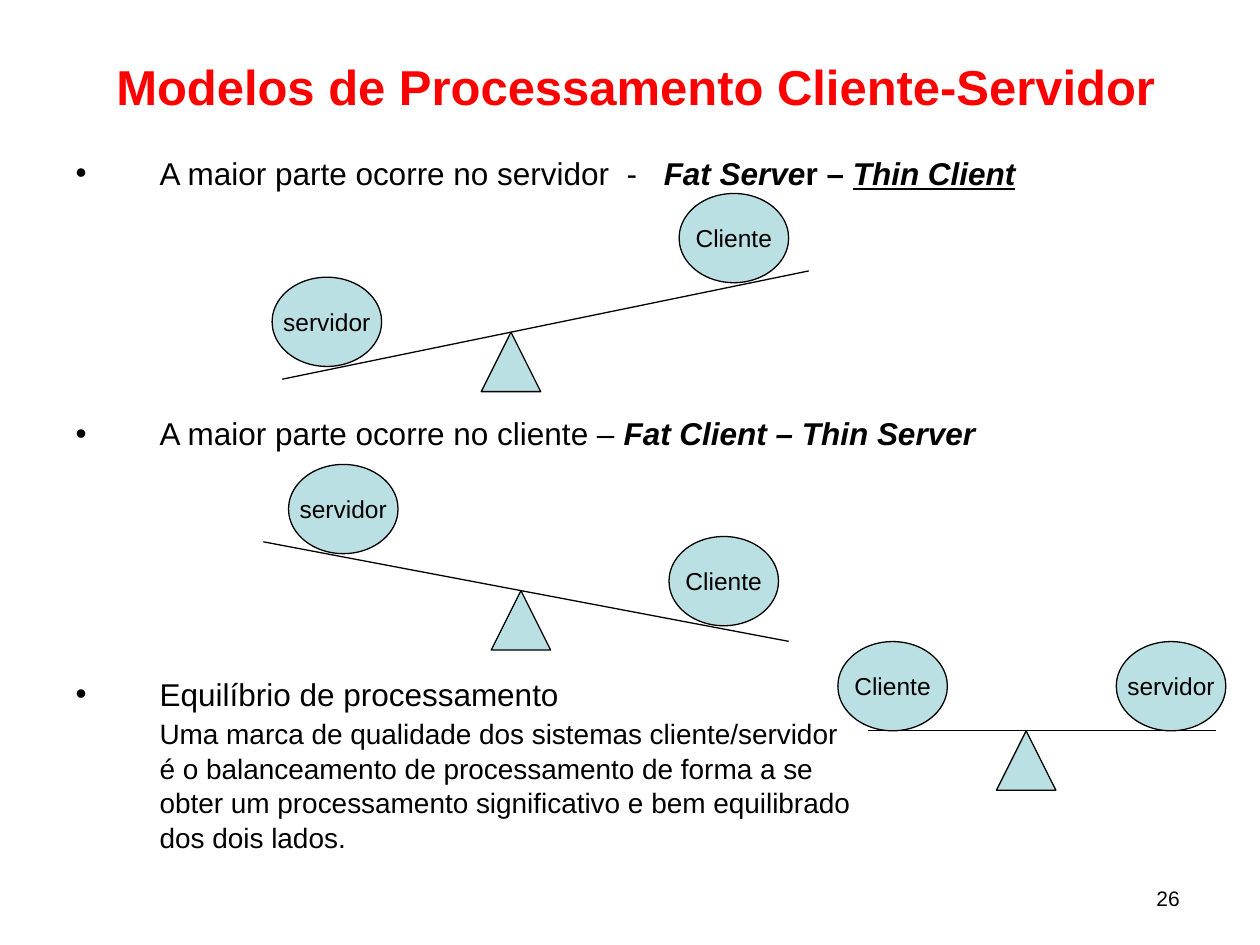
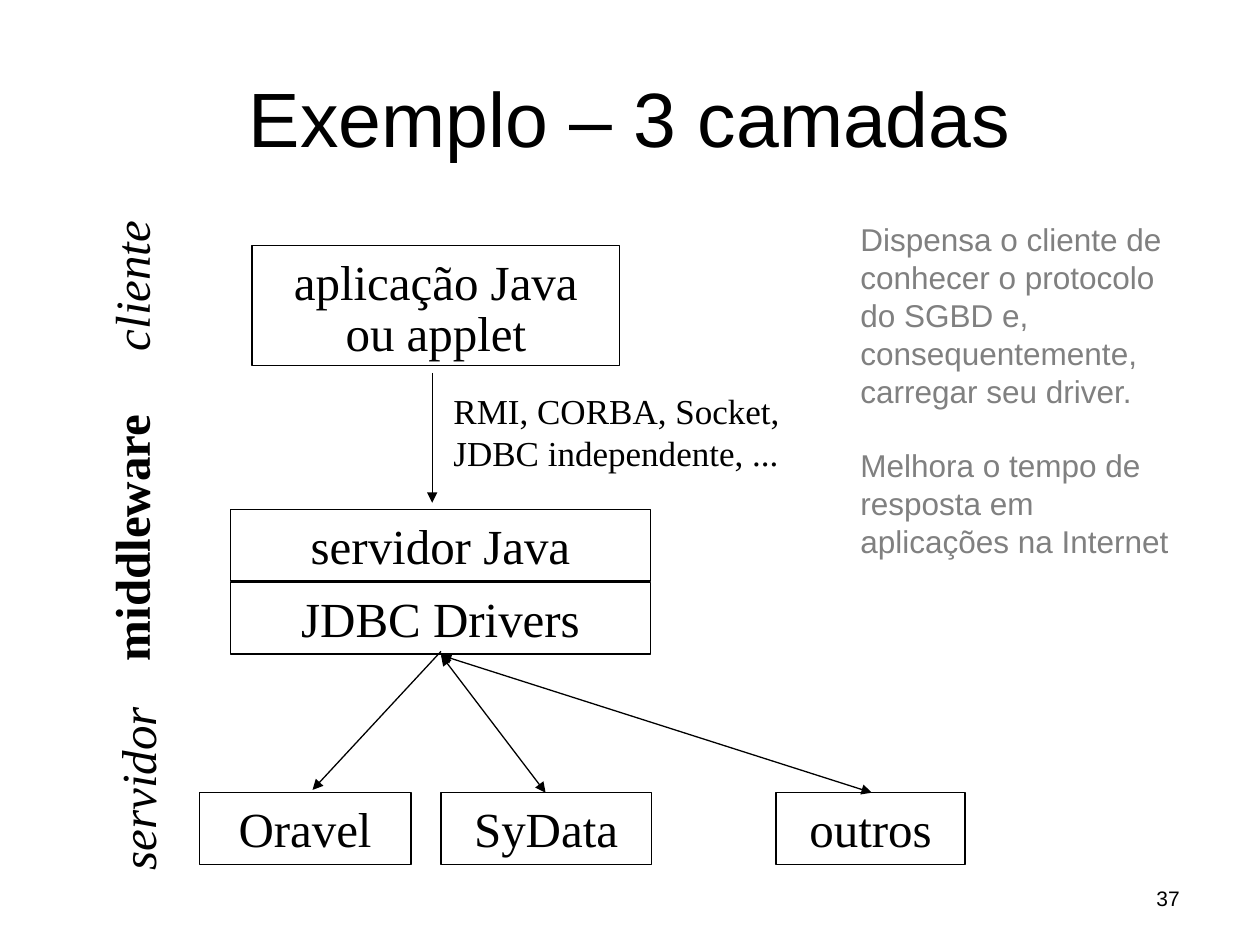
from lxml.etree import SubElement
from pptx import Presentation
from pptx.dml.color import RGBColor
from pptx.enum.shapes import MSO_CONNECTOR, MSO_SHAPE
from pptx.enum.text import MSO_ANCHOR, MSO_AUTO_SIZE, PP_ALIGN
from pptx.oxml.ns import qn
from pptx.util import Pt

BLACK = RGBColor(0x00, 0x00, 0x00)
RED = RGBColor(0xFF, 0x00, 0x00)
GRAY = RGBColor(0x80, 0x80, 0x80)
PALE_TEAL = RGBColor(0xBB, 0xE0, 0xE3)
SANS, SERIF = "Arial", "Times New Roman"
TITLE_AND_BODY, TITLE_ONLY = 1, 5

# Slide 1: runs are (text, bold, italic, underline)
MODELS = [
    [("A maior parte ocorre no servidor  -   ", False, False, False),
     ("Fat Serve", True, True, False),
     ("r – ", True, False, False),
     ("Thin Client", True, True, True)],
    [("A maior parte ocorre no cliente – ", False, False, False),
     ("Fat Client – Thin Server", True, True, False)],
    [("Equilíbrio de processamento", False, False, False)],
]
BALANCE_REMARK = [
    "Uma marca de qualidade dos sistemas cliente/servidor",
    "é o balanceamento de processamento de forma a se",
    "obter um processamento significativo e bem equilibrado",
    "dos dois lados.",
]
# Beam ends, centre of each ball and pivot along the beam
SEESAWS = [
    {"beam": ((161.3, 216.7), (462.2, 154.8)), "pivot": 292,
     "balls": {"servidor": 186.8, "Cliente": 419.4}},
    {"beam": ((150.5, 309.6), (450.7, 366.5)), "pivot": 297.7,
     "balls": {"servidor": 196.2, "Cliente": 413.6}},
    {"beam": ((496, 417.6), (694.8, 417.6)), "pivot": 586.4,
     "balls": {"Cliente": 510.1, "servidor": 669.2}},
]
BALL_WIDTH, BALL_HEIGHT, PIVOT_SIZE = 62.6, 51, 34
MODEL_STEP, MODEL_LINE = 148, 16.5

# Slide 2: (lines, left, top, width, height)
BOX_HEIGHT, DATABASE_TOP = 41, 453
LAYER_BOXES = [
    (["aplicação Java", "ou applet"], 144, 140.4, 210.2, 68.4),
    (["servidor Java"], 131.8, 291, 239.8, BOX_HEIGHT),
    (["JDBC Drivers"], 131.8, 332.7, 239.8, BOX_HEIGHT),
    (["Oravel"], 113.8, DATABASE_TOP, 121, BOX_HEIGHT),
    (["SyData"], 252, DATABASE_TOP, 120.2, BOX_HEIGHT),
    (["outros"], 443.5, DATABASE_TOP, 108, BOX_HEIGHT),
]
# (text, left, top, height, bold, italic)
LAYER_NAMES = [
    ("cliente", 54, 122.4, 82, False, True),
    ("middleware", 54, 233.3, 148.3, True, False),
    ("servidor", 57.6, 400.3, 100.8, False, True),
]
# (start, end, has an arrowhead at the start)
ARROWS = [
    ((252, 374.4), (311.8, DATABASE_TOP), True),
    ((252, 374.4), (498.2, DATABASE_TOP), True),
    ((252, 372.2), (178.6, 451.4), False),
    ((247, 213.1), (247, 287.3), False),
]
PROTOCOLS = "RMI, CORBA, Socket, JDBC independente, ..."
BENEFITS = [
    "Dispensa o cliente de conhecer o protocolo do SGBD e, "
    "consequentemente, carregar seu driver.",
    "Melhora o tempo de resposta em aplicações na Internet",
]


def place(shape, left, top, width, height):
    shape.left, shape.top = Pt(left), Pt(top)
    shape.width, shape.height = Pt(width), Pt(height)


def style(paragraph, size, font=SANS, color=BLACK, align=PP_ALIGN.LEFT,
          before=0, bold=False, italic=False):
    paragraph.alignment = align
    paragraph.space_before = Pt(before)
    paragraph.font.size = Pt(size)
    paragraph.font.name = font
    paragraph.font.color.rgb = color
    paragraph.font.bold = bold
    paragraph.font.italic = italic


def write(frame, lines, size, **look):
    """Fill a text frame with one equally styled paragraph per line."""
    for i, line in enumerate(lines):
        paragraph = frame.add_paragraph() if i else frame.paragraphs[0]
        paragraph.text = line
        style(paragraph, size, **look)


def add_text(slide, lines, bounds, size, **look):
    box = slide.shapes.add_textbox(*map(Pt, bounds))
    box.text_frame.word_wrap = True
    write(box.text_frame, lines, size, **look)
    return box


def add_outlined(slide, kind, bounds, fill=None):
    shape = slide.shapes.add_shape(kind, *map(Pt, bounds))
    shape.shadow.inherit = False
    shape.line.color.rgb = BLACK
    shape.line.width = Pt(0.75)
    if fill is None:
        shape.fill.background()
    else:
        shape.fill.solid()
        shape.fill.fore_color.rgb = fill
    return shape


def add_line(slide, start, end, heads=()):
    """Draw a thin line; heads may hold headEnd and tailEnd."""
    line = slide.shapes.add_connector(
        MSO_CONNECTOR.STRAIGHT, *map(Pt, (*start, *end)))
    line.line.color.rgb = BLACK
    line.line.width = Pt(0.75)
    for head in heads:
        SubElement(line.line._get_or_add_ln(), qn(f"a:{head}"), type="triangle")
    SubElement(line._element.spPr, qn("a:effectLst"))


def add_slide(prs, layout, title, bounds, number, size, **look):
    slide = prs.slides.add_slide(prs.slide_layouts[layout])
    heading = slide.shapes.title
    place(heading, *bounds)
    heading.text_frame.vertical_anchor = MSO_ANCHOR.MIDDLE
    heading.text_frame.auto_size = MSO_AUTO_SIZE.NONE
    write(heading.text_frame, [title], size, align=PP_ALIGN.CENTER, **look)
    add_text(slide, [number], (513.4, 502.6, 167.8, 37.4), 12,
             align=PP_ALIGN.RIGHT)
    return slide


def indent(paragraph, hanging):
    margin = Pt(48)
    properties = paragraph._p.get_or_add_pPr()
    properties.set("marL", str(margin))
    properties.set("indent", str(-margin if hanging else 0))
    if not hanging:
        properties.insert_element_before(
            properties.makeelement(qn("a:buNone"), {}),
            "a:tabLst", "a:defRPr", "a:extLst")


def fill_models(body):
    place(body, 36, 88.6, 648, 419.8)
    frame = body.text_frame
    frame.auto_size = MSO_AUTO_SIZE.NONE
    for i, runs in enumerate(MODELS):
        paragraph = frame.add_paragraph() if i else frame.paragraphs[0]
        style(paragraph, 18, before=MODEL_STEP - MODEL_LINE if i else 4.5)
        paragraph.line_spacing = 0.8
        indent(paragraph, hanging=True)
        for text, bold, italic, underline in runs:
            run = paragraph.add_run()
            run.text = text
            run.font.bold, run.font.italic = bold, italic
            run.font.underline = underline
    for i, line in enumerate(BALANCE_REMARK):
        paragraph = frame.add_paragraph()
        paragraph.text = line
        style(paragraph, 16, before=4.5 if i else 6)
        paragraph.line_spacing = 0.8
        indent(paragraph, hanging=False)


def add_seesaw(slide, beam, pivot, balls):
    """Rest the balls on the beam and put the pivot under it."""
    (x1, y1), (x2, y2) = beam
    slope = (y2 - y1) / (x2 - x1)

    def beam_y(x):
        return y1 + slope * (x - x1)

    add_line(slide, *beam)
    add_outlined(slide, MSO_SHAPE.ISOSCELES_TRIANGLE,
                 (pivot - PIVOT_SIZE / 2, beam_y(pivot), PIVOT_SIZE, PIVOT_SIZE),
                 PALE_TEAL)
    for label, x in balls.items():
        top = beam_y(x) - 10 * abs(slope) - BALL_HEIGHT
        ball = add_outlined(slide, MSO_SHAPE.OVAL,
                            (x - BALL_WIDTH / 2, top, BALL_WIDTH, BALL_HEIGHT),
                            PALE_TEAL)
        ball.text_frame.word_wrap = False
        ball.text_frame.vertical_anchor = MSO_ANCHOR.MIDDLE
        write(ball.text_frame, [label], 14, align=PP_ALIGN.CENTER)


def build_models(prs):
    slide = add_slide(prs, TITLE_AND_BODY,
                      "Modelos de Processamento Cliente-Servidor",
                      (42.5, 21.6, 641.5, 55.4), "26", 28, color=RED, bold=True)
    fill_models(slide.placeholders[1])
    for seesaw in SEESAWS:
        add_seesaw(slide, **seesaw)


def build_layers(prs):
    slide = add_slide(prs, TITLE_ONLY, "Exemplo – 3 camadas",
                      (36, 21.6, 648, 90), "37", 44)
    for lines, *bounds in LAYER_BOXES:
        box = add_outlined(slide, MSO_SHAPE.RECTANGLE, bounds)
        frame = box.text_frame
        frame.vertical_anchor = MSO_ANCHOR.TOP
        write(frame, lines, 28, font=SERIF, align=PP_ALIGN.CENTER, before=7)
        for paragraph in frame.paragraphs[1:]:
            paragraph.line_spacing = 0.6
    for text, left, top, height, bold, italic in LAYER_NAMES:
        name = add_text(slide, [text], (left, top, 48.2, height), 28, font=SERIF,
                        align=PP_ALIGN.CENTER, before=7, bold=bold, italic=italic)
        frame = name.text_frame
        frame.word_wrap = False
        frame.margin_left = frame.margin_right = Pt(3.6)
        frame.margin_top = frame.margin_bottom = Pt(7.2)
        frame._txBody.bodyPr.set("vert", "vert270")
    for start, end, both in ARROWS:
        add_line(slide, start, end, ("headEnd", "tailEnd") if both else ("tailEnd",))
    add_text(slide, [PROTOCOLS], (252, 218.9, 210.2, 55.4), 20, font=SERIF, before=5)
    benefits = add_text(slide, BENEFITS, (484.6, 122.4, 201.6, 201.6), 18, color=GRAY)
    benefits.text_frame.paragraphs[1].space_before = Pt(21)


def main():
    prs = Presentation()
    prs.slide_width, prs.slide_height = Pt(720), Pt(540)
    build_models(prs)
    build_layers(prs)
    prs.save("out.pptx")


if __name__ == "__main__":
    main()
